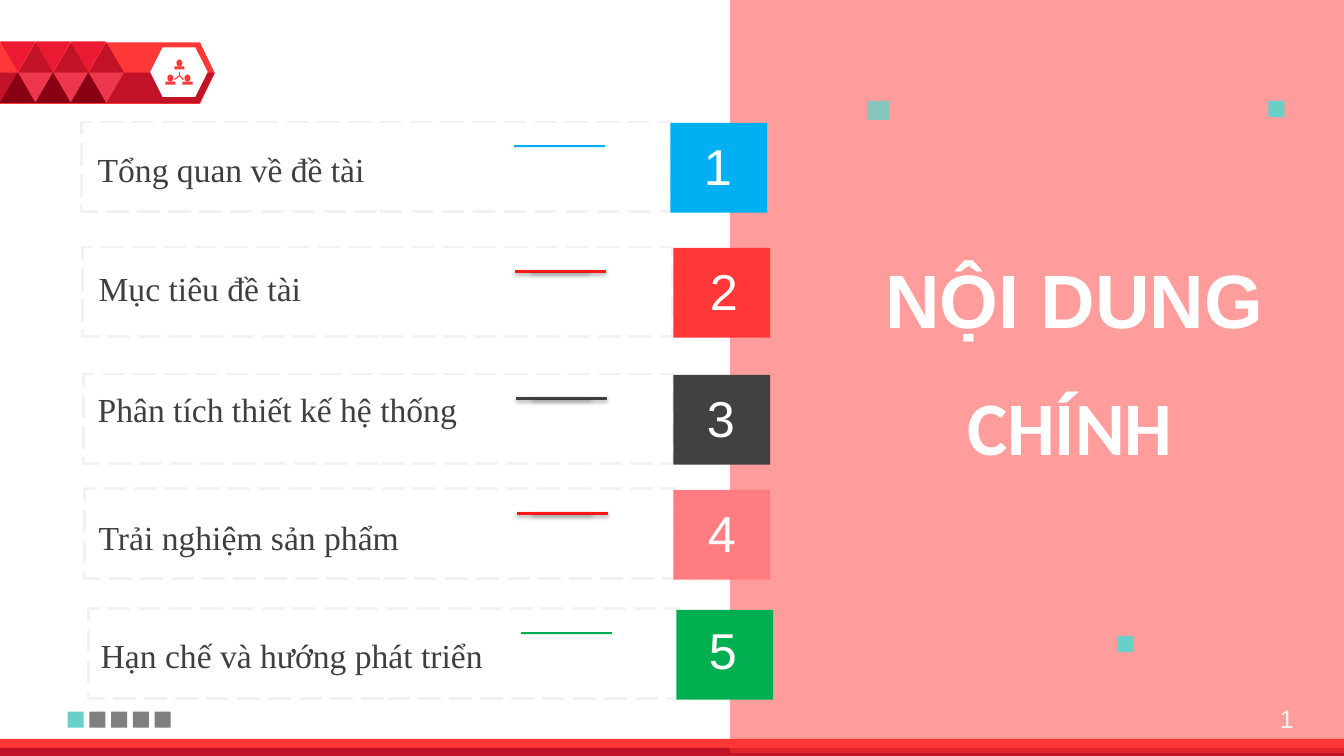
from dataclasses import dataclass

from lxml import etree
from pptx import Presentation
from pptx import util as u
from pptx.dml.color import RGBColor
from pptx.enum import dml, shapes, text
from pptx.oxml import ns
from pptx.shapes.autoshape import Shape
from pptx.slide import Slide
from pptx.text.text import TextFrame


@dataclass(frozen=True)
class Theme:
    red: str = "FF3737"
    dark_red: str = "C21227"
    maroon: str = "880014"
    crimson: str = "EB1932"
    rose: str = "ED374D"
    white: str = "FFFFFF"
    pale: str = "F2F2F2"
    teal: str = "68D0C6"
    grey: str = "7F7F7F"
    ink: str = "3F3F3F"
    title_size: int = 54
    digit_size: int = 36
    label_size: int = 24
    page_size: int = 18
    sans: str = "Arial"
    title_sans: str = "Calibri"
    serif: str = "Times New Roman"


@dataclass(frozen=True)
class Area:
    left: float
    top: float
    width: float
    height: float

    def lengths(self) -> tuple[u.Length, ...]:
        return tuple(u.Inches(v) for v in (self.left, self.top, self.width, self.height))


@dataclass(frozen=True)
class Style:
    size: int
    font: str
    color: str
    align: text.PP_ALIGN = text.PP_ALIGN.LEFT
    bold: bool = False


@dataclass(frozen=True)
class Topic:
    label: str
    color: str
    accent: str
    raised: bool
    frame_left: float
    tile_left: float
    tile_top: float
    label_left: float
    label_top: float
    digit_left: float
    digit_rise: float = 0.07


THEME = Theme()
KIND = shapes.MSO_SHAPE
TOPICS = (
    Topic("Tổng quan về đề tài", "00B0F0", "00B0F0", False, 0.81, 6.65, 1.22, 0.87, 1.43, 6.77),
    Topic("Mục tiêu đề tài", THEME.red, "FF1818", True, 0.82, 6.68, 2.46, 0.88, 2.61, 6.83),
    Topic("Phân tích thiết kế hệ thống", "414141", THEME.ink, True, 0.83, 6.68, 3.72, 0.87, 3.81, 6.8),
    Topic("Trải nghiệm sản phẩm", "FF7C80", "FF1818", True, 0.84, 6.68, 4.86, 0.88, 5.08, 6.81),
    Topic("Hạn chế và hướng phát triển", "00B050", "00B050", False, 0.88, 6.71, 6.05, 0.9, 6.25, 6.82, 0.04),
)


def add_block(page: Slide, kind: KIND, area: Area, color: str, opacity: int = 100) -> Shape:
    block = page.shapes.add_shape(kind, *area.lengths())
    block.shadow.inherit = False
    block.fill.solid()
    block.fill.fore_color.rgb = RGBColor.from_string(color)
    block.line.fill.background()
    if opacity < 100:
        tint = block.element.spPr.find(".//" + ns.qn("a:srgbClr"))
        etree.SubElement(tint, ns.qn("a:alpha"), val=str(opacity * 1000))
    return block


def write(frame: TextFrame, words: str, style: Style) -> None:
    frame.word_wrap = True
    frame.auto_size = text.MSO_AUTO_SIZE.NONE
    frame.vertical_anchor = text.MSO_ANCHOR.TOP
    frame.text = words
    para = frame.paragraphs[0]
    para.alignment = style.align
    para.font.size = u.Pt(style.size)
    para.font.name = style.font
    para.font.bold = style.bold
    para.font.color.rgb = RGBColor.from_string(style.color)


def add_text(page: Slide, area: Area, words: str, style: Style) -> None:
    write(page.shapes.add_textbox(*area.lengths()).text_frame, words, style)


def cast_shadow(block: Shape) -> None:
    effects = block.element.spPr.find(ns.qn("a:effectLst"))
    shadow = etree.SubElement(effects, ns.qn("a:outerShdw"), blurRad=str(u.Pt(3.1)),
                              dist=str(u.Pt(1.8)), dir="5400000", rotWithShape="0")
    tint = etree.SubElement(shadow, ns.qn("a:srgbClr"), val="000000")
    etree.SubElement(tint, ns.qn("a:alpha"), val="35000")


def draw_network_icon(page: Slide) -> None:
    for left, top in ((1.86, 0.84), (1.69, 0.84), (1.78, 0.69)):
        add_block(page, KIND.OVAL, Area(left - 0.03, top - 0.1, 0.06, 0.07), THEME.red)
        add_block(page, KIND.ROUND_2_SAME_RECTANGLE, Area(left - 0.05, top - 0.03, 0.1, 0.03), THEME.red)
    for left, top in ((1.78, 0.71), (1.73, 0.79), (1.82, 0.79)):
        spoke = page.shapes.add_connector(shapes.MSO_CONNECTOR.STRAIGHT, u.Inches(1.78),
                                          u.Inches(0.75), u.Inches(left), u.Inches(top))
        spoke.line.color.rgb = RGBColor.from_string(THEME.red)
        spoke.line.width = u.Pt(0.75)
        etree.SubElement(spoke.element.spPr, ns.qn("a:effectLst"))


def draw_ribbon(page: Slide) -> None:
    band = add_block(page, KIND.PENTAGON, Area(0, 0.42, 2.13, 0.61), THEME.red)
    band.adjustments[0] = 0.239
    outline = page.shapes.build_freeform(0, u.Inches(0.72))
    outline.add_line_segments([(u.Inches(x), u.Inches(y)) for x, y in ((2.13, 0.72), (1.98, 1.02), (0, 1.02))])
    shade = outline.convert_to_shape()
    shade.shadow.inherit = False
    shade.fill.solid()
    shade.fill.fore_color.rgb = RGBColor.from_string(THEME.dark_red)
    shade.line.fill.background()
    add_block(page, KIND.HEXAGON, Area(1.49, 0.47, 0.57, 0.49), THEME.white)
    draw_network_icon(page)
    pattern = ((0, 0.41, THEME.crimson, 180), (0.18, 0.42, THEME.dark_red, 0),
               (0.18, 0.72, THEME.rose, 180), (0, 0.72, THEME.maroon, 0))
    for column in range(3):
        for shift, top, color, turn in pattern:
            area = Area(column * 0.35 + shift, top, 0.35, 0.3)
            add_block(page, KIND.ISOSCELES_TRIANGLE, area, color).rotation = turn


def draw_backdrop(page: Slide) -> None:
    draw_ribbon(page)
    add_block(page, KIND.RECTANGLE, Area(0, 7.33, 13.33, 0.16), THEME.red)
    add_block(page, KIND.RECTANGLE, Area(0, 7.42, 13.33, 0.08), THEME.dark_red)
    panel = add_block(page, KIND.RECTANGLE, Area(7.24, 0, 6.09, 7.47), THEME.red, 49)
    title = page.shapes.title
    panel.element.addnext(title.element)
    title.left, title.top, title.width, title.height = Area(5.96, 2.46, 6.67, 1.01).lengths()
    right = text.PP_ALIGN.RIGHT
    write(title.text_frame, "NỘI DUNG", Style(THEME.title_size, THEME.sans, THEME.white, right, True))
    add_text(page, Area(5.06, 3.72, 6.67, 1.01), "CHÍNH",
             Style(THEME.title_size, THEME.title_sans, THEME.white, right, True))
    add_block(page, KIND.RECTANGLE, Area(8.6, 1, 0.22, 0.19), THEME.teal, 80)
    for left, top in ((11.08, 6.31), (12.58, 1)):
        add_block(page, KIND.RECTANGLE, Area(left, top, 0.16, 0.16), THEME.teal)
    for step in range(5):
        color = THEME.grey if step else THEME.teal
        add_block(page, KIND.RECTANGLE, Area(0.67 + step * 0.216, 7.06, 0.16, 0.16), color)
    add_text(page, Area(12.34, 6.93, 0.59, 0.4), "1",
             Style(THEME.page_size, THEME.sans, THEME.pale, right))


def draw_topic(page: Slide, number: int, topic: Topic) -> None:
    frame_top = topic.tile_top - 0.01
    for inset, height in ((0, 0.02), (0.16, 0.01)):
        area = Area(topic.frame_left + 4.29 + inset, frame_top + 0.24 - height / 2, 0.9 - 2 * inset, height)
        bar = add_block(page, KIND.RECTANGLE, area, topic.accent)
        if topic.raised:
            bar.line.color.rgb = RGBColor.from_string(topic.accent)
            bar.line.width = u.Pt(0.75)
            cast_shadow(bar)
    frame = add_block(page, KIND.RECTANGLE, Area(topic.frame_left, frame_top, 5.85, 0.89), THEME.white)
    frame.fill.background()
    frame.line.color.rgb = RGBColor.from_string(THEME.pale)
    frame.line.width = u.Pt(2)
    frame.line.dash_style = dml.MSO_LINE.LONG_DASH
    add_text(page, Area(topic.label_left, topic.label_top, 5.31, 0.5), topic.label,
             Style(THEME.label_size, THEME.serif, THEME.ink))
    add_block(page, KIND.RECTANGLE, Area(topic.tile_left, topic.tile_top, 0.96, 0.89), topic.color)
    add_text(page, Area(topic.digit_left, topic.tile_top + topic.digit_rise, 0.7, 0.71), str(number),
             Style(THEME.digit_size, THEME.sans, THEME.white, text.PP_ALIGN.CENTER))


def main() -> None:
    deck = Presentation()
    deck.slide_width, deck.slide_height = u.Inches(13.33), u.Inches(7.5)
    page = deck.slides.add_slide(deck.slide_layouts.get_by_name("Title Only"))
    draw_backdrop(page)
    for number, topic in enumerate(TOPICS, start=1):
        draw_topic(page, number, topic)
    deck.save("out.pptx")


if __name__ == "__main__":
    main()
